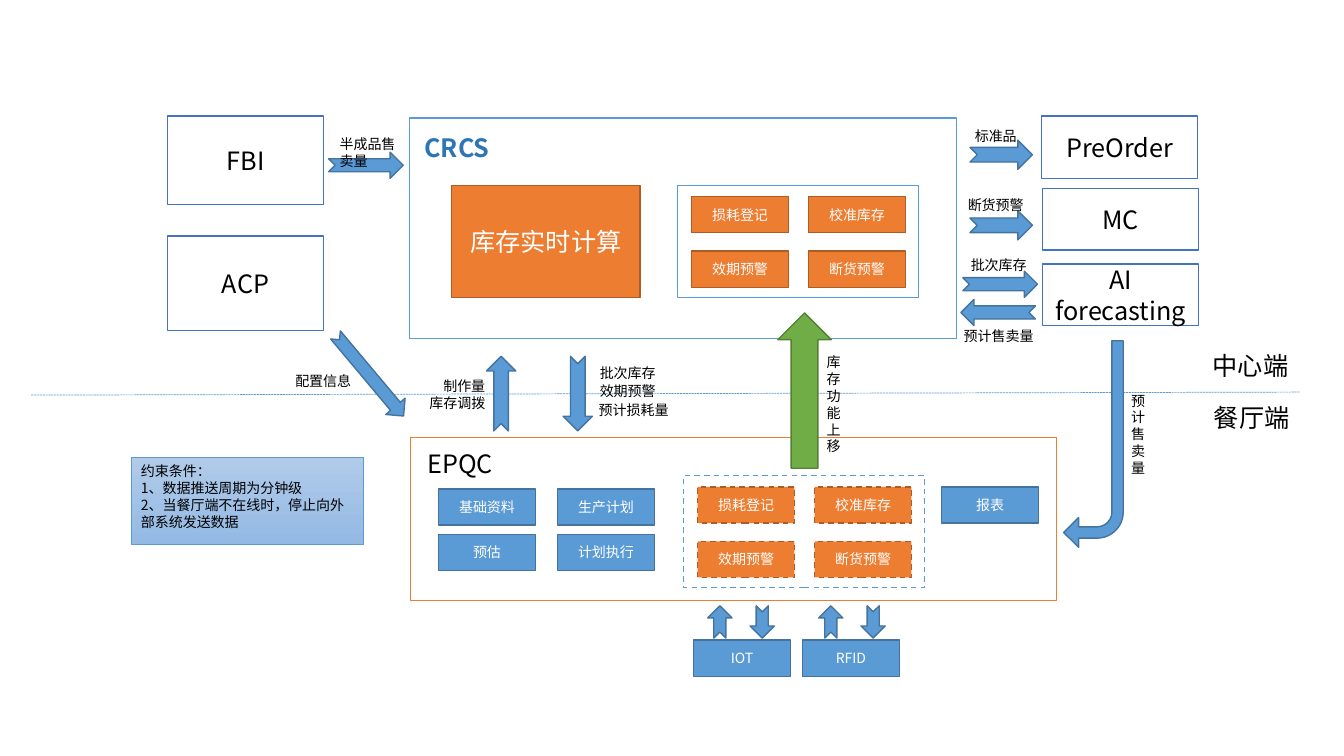
from pptx import Presentation, util as u
from pptx.dml import color
from pptx.enum import dml, shapes, text
from pptx.oxml import xmlchemy
from lxml import etree

THEME = {
    "font": "Noto Sans CJK SC", "label": 10, "heading": 18,
    "white": "FFFFFF", "black": "000000", "title": "2E75B6",
    "blue": "5B9BD5", "blue_edge": "43739E", "system_edge": "4472C4",
    "orange": "ED7D31", "orange_edge": "AF5C24",
    "green": "70AD47", "green_edge": "538035",
    "note_top": "B1CBE9", "note_bottom": "93B9E4",
}
NS = "{http://schemas.openxmlformats.org/drawingml/2006/main}"
SHAPE = shapes.MSO_SHAPE
ALIGN = text.PP_ALIGN


def rgb(name):
    return color.RGBColor.from_string(THEME[name])


def write(part, lines, size="label", ink="black", align=ALIGN.LEFT, bold=False):
    frame = part.text_frame
    frame.word_wrap = True
    for index, line in enumerate(lines):
        paragraph = frame.add_paragraph() if index else frame.paragraphs[0]
        paragraph.alignment = align
        run = paragraph.add_run()
        run.text = line
        look = {"name": THEME["font"], "size": u.Pt(THEME[size]), "bold": bold}
        for key, value in look.items():
            setattr(run.font, key, value)
        run.font.color.rgb = rgb(ink)
        etree.SubElement(run.font._element, NS + "ea", typeface=THEME["font"])


deck = Presentation()
deck.slide_width, deck.slide_height = u.Inches(13.33), u.Inches(7.5)
slide = deck.slides.add_slide(deck.slide_layouts[6])

panels = [
    (4.07, 4.34, 6.41, 1.62, "orange", None),
    (6.78, 4.72, 2.39, 1.11, "blue", dml.MSO_LINE.DASH),
    (4.06, 1.17, 5.43, 2.19, "blue", None),
    (6.72, 1.84, 2.39, 1.11, "blue", None),
]
boxes = [(x, y, w, h, "white", edge, dash, "", "label")
         for x, y, w, h, edge, dash in panels]

modules = ["损耗登记", "校准库存", "效期预警", "断货预警"]
basics = ["基础资料", "生产计划", "预估", "计划执行"]
grids = [
    (modules, 6.86, 1.95, 1.16, 0.54, "orange", None),
    (modules, 6.92, 4.83, 1.16, 0.54, "orange", dml.MSO_LINE.DASH),
    (basics, 4.35, 4.85, 1.18, 0.45, "blue", None),
    (["报表"], 9.34, 4.83, 0, 0, "blue", None),
    (["IOT", "RFID"], 6.88, 6.35, 1.08, 0, "blue", None),
]
for names, left, top, step_x, step_y, fill, dash in grids:
    for index, name in enumerate(names):
        row, column = divmod(index, 2)
        boxes.append((left + column * step_x, top + row * step_y, 0.96, 0.36,
                      fill, fill + "_edge", dash, name, "label"))

boxes.append((4.48, 1.84, 1.87, 1.11, "orange", "orange_edge", None,
              "库存实时计算", "heading"))
systems = [
    ("FBI", 1.66, 1.15, 0.88), ("ACP", 1.66, 2.34, 0.94),
    ("PreOrder", 10.33, 1.15, 0.62), ("MC", 10.34, 1.87, 0.61),
    ("AI forecasting", 10.34, 2.62, 0.61),
]
for name, left, top, height in systems:
    boxes.append((left, top, 1.55, height, "white", "system_edge", None,
                  name, "heading"))

for left, top, width, height, fill, edge, dash, name, size in boxes:
    box = slide.shapes.add_shape(SHAPE.RECTANGLE, *map(u.Inches, (left, top, width, height)))
    box.shadow.inherit = False
    box.fill.solid()
    box.fill.fore_color.rgb = rgb(fill)
    box.line.color.rgb = rgb(edge)
    box.line.width = u.Pt(1)
    if dash:
        box.line.dash_style = dash
    if name:
        box.text_frame.vertical_anchor = text.MSO_ANCHOR.MIDDLE
        write(box, [name], size, "black" if fill == "white" else "white", ALIGN.CENTER)

boundary = slide.shapes.add_connector(
    shapes.MSO_CONNECTOR.STRAIGHT, *map(u.Inches, (0.31, 3.92, 12.89, 3.89)))
boundary.line.color.rgb = rgb("blue")
boundary.line.width = u.Pt(0.5)
boundary.line.dash_style = dml.MSO_LINE.SQUARE_DOT
etree.SubElement(boundary._element.spPr, NS + "effectLst")

NOTCHED = SHAPE.NOTCHED_RIGHT_ARROW
arrows = [
    (SHAPE.RIGHT_ARROW, 7.21, 3.61, 1.54, 0.53, 270, "green"),
    (SHAPE.BENT_ARROW, 10.55, 3.38, 0.59, 2.05, 180, "blue"),
    (NOTCHED, 5.36, 3.76, 0.74, 0.29, 90, "blue"),
    (NOTCHED, 4.6, 3.76, 0.74, 0.29, 270, "blue"),
    (NOTCHED, 3.26, 1.51, 0.74, 0.26, 0, "blue"),
    (NOTCHED, 9.62, 1.39, 0.62, 0.29, 0, "blue"),
    (NOTCHED, 9.62, 2.09, 0.62, 0.29, 0, "blue"),
    (NOTCHED, 9.55, 2.69, 0.74, 0.26, 0, "blue"),
    (NOTCHED, 9.53, 2.97, 0.74, 0.26, 180, "blue"),
    (NOTCHED, 3.14, 3.6, 1.05, 0.25, 50, "blue"),
]
for left in (6.98, 8.08):
    arrows.append((NOTCHED, left, 6.05, 0.32, 0.24, 270, "blue"))
    arrows.append((NOTCHED, left + 0.42, 6.05, 0.32, 0.24, 90, "blue"))

for kind, left, top, width, height, turn, fill in arrows:
    arrow = slide.shapes.add_shape(kind, *map(u.Inches, (left, top, width, height)))
    arrow.shadow.inherit = False
    arrow.rotation = turn
    arrow.fill.solid()
    arrow.fill.fore_color.rgb = rgb(fill)
    arrow.line.color.rgb = rgb(fill + "_edge")
    arrow.line.width = u.Pt(1)
    if kind == SHAPE.BENT_ARROW:
        for index, bend in enumerate((0.19, 0.25, 0.25, 0.44)):
            arrow.adjustments[index] = bend

constraints = slide.shapes.add_shape(
    SHAPE.RECTANGLE, *map(u.Inches, (1.3, 4.54, 2.3, 0.86)))
constraints.shadow.inherit = False
constraints.fill.gradient()
constraints.fill.gradient_angle = 270
for stop, tone in zip(constraints.fill.gradient_stops, ("note_top", "note_bottom")):
    stop.color.rgb = rgb(tone)
constraints.line.color.rgb = rgb("blue")
constraints.line.width = u.Pt(0.5)
constraints.text_frame.vertical_anchor = text.MSO_ANCHOR.TOP
write(constraints, ["约束条件：", "1、数据推送周期为分钟级",
                    "2、当餐厅端不在线时，停止向外部系统发送数据"])

captions = [
    (4.14, 4.4, 0.92, 0.4, ["EPQC"], {"size": "heading"}),
    (4.11, 1.26, 0.92, 0.4, ["CRCS"], {"size": "heading", "ink": "title", "bold": True}),
    (11.94, 3.94, 1.21, 0.4, ["餐厅端"], {"size": "heading"}),
    (11.93, 3.43, 1.21, 0.4, ["中心端"], {"size": "heading"}),
    (3.27, 1.3, 0.79, 0.44, ["半成品售卖量"], {}),
    (5.85, 3.57, 0.79, 0.27, ["批次库存"], {}),
    (5.85, 3.75, 0.79, 0.27, ["效期预警"], {}),
    (5.84, 3.93, 1.04, 0.27, ["预计损耗量"], {}),
    (9.5, 1.9, 0.79, 0.27, ["断货预警"], {}),
    (9.57, 1.22, 0.79, 0.27, ["标准品"], {}),
    (9.53, 2.5, 0.79, 0.27, ["批次库存"], {}),
    (9.46, 3.2, 0.91, 0.27, ["预计售卖量"], {}),
    (2.83, 3.65, 0.79, 0.27, ["配置信息"], {}),
    (4.12, 3.7, 0.79, 0.44, ["制作量", "库存调拨"], {"align": ALIGN.RIGHT}),
    (8.1, 3.46, 0.35, 1.11, list("库存功能上移"), {}),
    (11.12, 3.84, 0.79, 0.94, list("预计售卖量"), {}),
]
for left, top, width, height, lines, look in captions:
    caption = slide.shapes.add_textbox(*map(u.Inches, (left, top, width, height)))
    caption.text_frame.auto_size = text.MSO_AUTO_SIZE.SHAPE_TO_FIT_TEXT
    write(caption, lines, **look)

deck.save("out.pptx")
